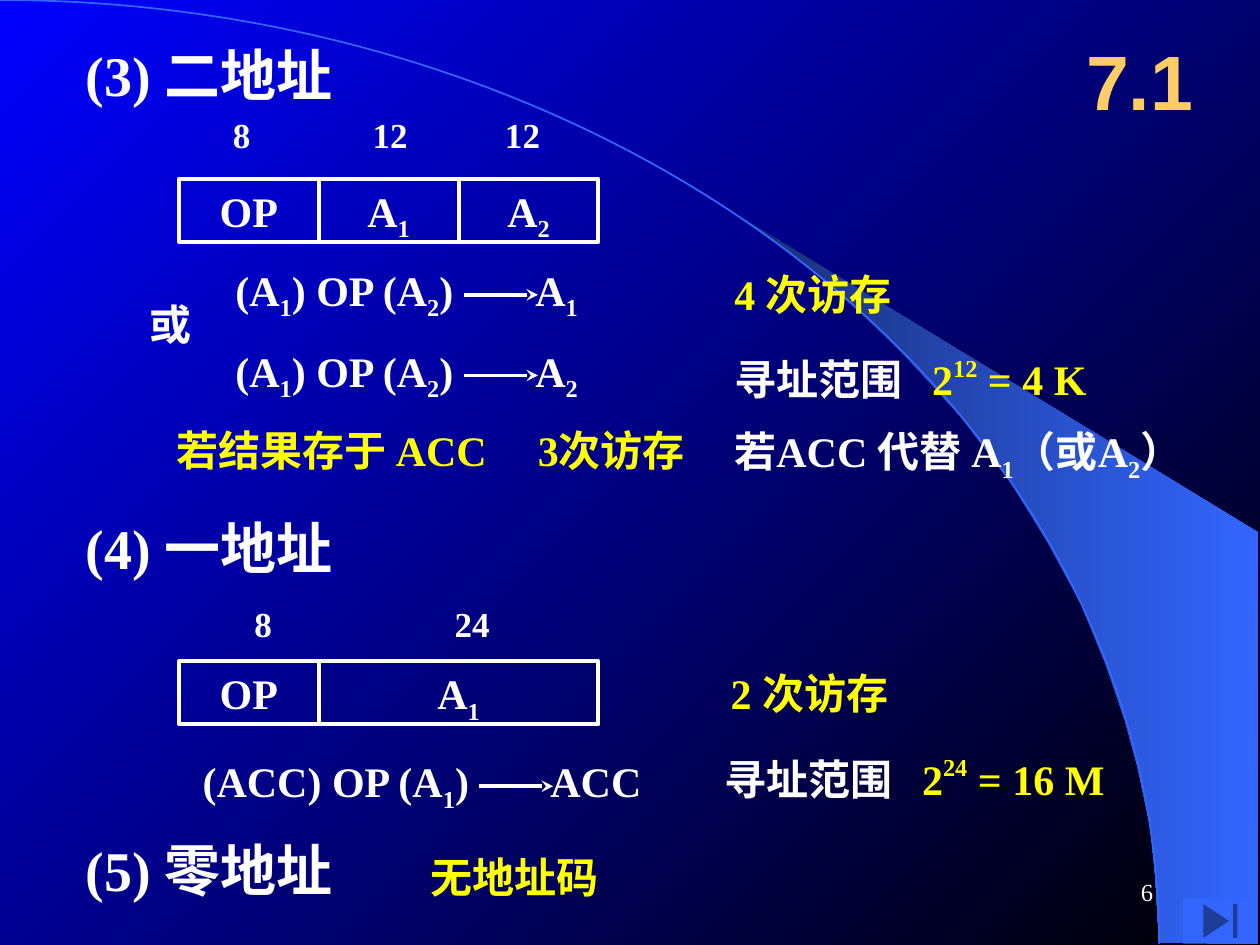
import math

import pptx
import pptx.dml.color
import pptx.enum.shapes
import pptx.enum.text
import pptx.oxml.ns
import pptx.util
from lxml import etree

Inches = pptx.util.Inches
Pt = pptx.util.Pt
RGBColor = pptx.dml.color.RGBColor
Align = pptx.enum.text.PP_ALIGN
Anchor = pptx.enum.text.MSO_ANCHOR
Shape = pptx.enum.shapes.MSO_SHAPE
qn = pptx.oxml.ns.qn

WHITE = RGBColor(0xFF, 0xFF, 0xFF)
YELLOW = RGBColor(0xFF, 0xFF, 0x00)
ORANGE = RGBColor(0xFF, 0xCC, 0x66)
BLUE = RGBColor(0x00, 0x00, 0xFF)
BLACK = RGBColor(0x00, 0x00, 0x00)
SKY = RGBColor(0x33, 0x66, 0xFF)
NAVY = RGBColor(0x18, 0x2F, 0x76)

SUB1 = ("1", {"baseline": -25})
SUB2 = ("2", {"baseline": -25})

BEAM = [(9.2, 7.48), (9.99, 7.49), (9.99, 4.23), (5.89, 1.73), (6.24, 1.99),
        (6.53, 2.22), (6.85, 2.5), (7.16, 2.8), (7.62, 3.3), (8.03, 3.84),
        (8.32, 4.31), (8.58, 4.79), (8.78, 5.28), (8.93, 5.72), (9.03, 6.09),
        (9.13, 6.56), (9.17, 6.96)]


def add_run(p, text, size=24, color=WHITE, bold=True, font="Times New Roman",
            baseline=0):
    r = p.add_run()
    r.text = text
    r.font.size = Pt(size)
    r.font.bold = bold
    r.font.name = font
    r.font.color.rgb = color
    if baseline:
        r._r.get_or_add_rPr().set("baseline", str(baseline * 1000))


def add_runs(p, parts, **style):
    """Add parts, each a string or a (string, format) pair, in a shared style."""
    for part in parts:
        text, extra = (part, {}) if isinstance(part, str) else part
        add_run(p, text, **{**style, **extra})


def set_tabs(p, stops):
    tab_list = etree.SubElement(p._p.get_or_add_pPr(), qn("a:tabLst"))
    for stop in stops:
        etree.SubElement(tab_list, qn("a:tab"), pos=str(Inches(stop)), algn="l")


def set_gradient(fill, start, end, angle):
    fill.gradient()
    fill.gradient_angle = angle
    for stop, color in zip(fill.gradient_stops, (start, end)):
        stop.color.rgb = color


class SlideBuilder:
    def __init__(self, slide):
        self.s = slide
        self.shapes = slide.shapes
        self.line_width = Pt(2.25)
        self.cell_height = 0.5

    def title(self, text, left, top, width, height):
        sp = self.shapes.title
        sp.left, sp.top = Inches(left), Inches(top)
        sp.width, sp.height = Inches(width), Inches(height)
        tf = sp.text_frame
        tf.auto_size = pptx.enum.text.MSO_AUTO_SIZE.NONE
        tf.vertical_anchor = Anchor.MIDDLE
        p = tf.paragraphs[0]
        p.alignment = Align.CENTER
        add_run(p, text, size=44, color=ORANGE, font="Arial")

    def text(self, parts, left, top, width, height=0.5, tabs=(),
             align=Align.LEFT, anchor=Anchor.TOP, **style):
        sp = self.shapes.add_textbox(Inches(left), Inches(top),
                                     Inches(width), Inches(height))
        tf = sp.text_frame
        tf.word_wrap = True
        tf.vertical_anchor = anchor
        p = tf.paragraphs[0]
        p.alignment = align
        if tabs:
            set_tabs(p, tabs)
        add_runs(p, parts, **style)

    def heading(self, text, top):
        self.text([text], 0.58, top, 3.17, 0.64, size=32)

    def instruction(self, fields, left, top):
        """Draw adjoining cells from (width, parts) pairs."""
        for width, parts in fields:
            sp = self.shapes.add_shape(Shape.RECTANGLE, Inches(left), Inches(top),
                                       Inches(width), Inches(self.cell_height))
            sp.shadow.inherit = False
            sp.fill.background()
            sp.line.color.rgb = WHITE
            sp.line.width = self.line_width
            tf = sp.text_frame
            tf.vertical_anchor = Anchor.TOP
            p = tf.paragraphs[0]
            p.alignment = Align.CENTER
            add_runs(p, parts)
            left += width

    def arrow(self, left, y, length):
        cx = self.shapes.add_connector(
            pptx.enum.shapes.MSO_CONNECTOR.STRAIGHT, Inches(left), Inches(y),
            Inches(left + length), Inches(y))
        cx.line.color.rgb = WHITE
        cx.line.width = self.line_width
        etree.SubElement(cx.line._get_or_add_ln(), qn("a:tailEnd"), type="stealth")
        etree.SubElement(cx._element.spPr, qn("a:effectLst"))

    def formula(self, parts, left, top, width, tab, arrow_left):
        self.text(parts, left, top, width, 0.56, tabs=[tab])
        self.arrow(arrow_left, top + 0.29, 0.59)

    def outline(self, points, close):
        points = [(Inches(x), Inches(y)) for x, y in points]
        fb = self.shapes.build_freeform(*points[0])
        fb.add_line_segments(points[1:], close=close)
        sp = fb.convert_to_shape()
        sp.shadow.inherit = False
        return sp

    def backdrop(self):
        set_gradient(self.s.background.fill, BLUE, BLACK, 315)
        beam = self.outline(BEAM, close=True)
        set_gradient(beam.fill, NAVY, SKY, 0)
        beam.line.fill.background()
        steps = 90
        angles = [math.pi / 2 * i / steps for i in range(steps + 1)]
        arc = self.outline([(9.2 * math.sin(a), 7.49 * (1 - math.cos(a)))
                            for a in angles], close=False)
        arc.fill.background()
        arc.line.color.rgb = SKY
        arc.line.width = Pt(1)

    def end_button(self, left, top, width, height):
        sp = self.shapes.add_shape(Shape.ACTION_BUTTON_END, Inches(left),
                                   Inches(top), Inches(width), Inches(height))
        sp.shadow.inherit = False
        sp.fill.solid()
        sp.fill.fore_color.rgb = SKY
        sp.line.fill.background()


def main():
    prs = pptx.Presentation()
    prs.slide_width, prs.slide_height = Inches(10), Inches(7.5)
    b = SlideBuilder(prs.slides.add_slide(prs.slide_layouts[5]))
    b.backdrop()
    b.title("7.1", 8.42, 0.17, 1.25, 0.92)

    b.heading("(3) 二地址", 0.27)
    b.text(["8\t12\t12"], 1.75, 0.85, 2.8, 0.44, tabs=[1.11, 2.16], size=20)
    b.instruction([(1.11, ["OP"]), (1.11, ["A", SUB1]), (1.11, ["A", SUB2])],
                  1.42, 1.42)
    for top, target in ((2.05, SUB1), (2.69, SUB2)):
        b.formula(["(A", SUB1, ") OP (A", SUB2, ")\tA", target],
                  1.77, top, 3.1, 2.38, 3.68)
    b.text(["或"], 1.09, 2.32, 0.6)
    b.text(["4 次访存"], 5.73, 2.08, 3.02, color=YELLOW)
    b.text(["若ACC 代替 A", SUB1, "（或A", SUB2, "）"], 5.73, 3.33, 3.93, 1.01)
    b.text(["若结果存于 ACC"], 1.3, 3.32, 3.08, color=YELLOW)
    b.text(["3次访存"], 4.17, 3.32, 2, color=YELLOW)

    b.heading("(4) 一地址", 4.03)
    b.text(["8\t24"], 1.92, 4.73, 2.3, 0.44, tabs=[1.59], size=20)
    b.instruction([(1.11, ["OP"]), (2.22, ["A", SUB1])], 1.42, 5.25)
    b.formula(["(ACC) OP (A", SUB1, ")\tACC"], 1.51, 5.95, 3.9, 2.76, 3.8)
    b.text(["2 次访存"], 5.7, 5.25, 1.8, color=YELLOW)

    for left, top, bits, size in ((5.73, 2.75, "12", "4 K"),
                                  (5.65, 5.92, "24", "16 M")):
        b.text([("寻址范围", {"color": WHITE}), "\t2", (bits, {"baseline": 45}),
                f" = {size}"], left, top, 3.43, 0.51, tabs=[1.57], color=YELLOW)

    b.heading("(5) 零地址", 6.58)
    b.text(["无地址码"], 3.32, 6.71, 1.7, color=YELLOW)
    b.end_button(9.39, 7.13, 0.59, 0.36)
    b.text(["6"], 7.17, 6.83, 2.08, align=Align.RIGHT, anchor=Anchor.MIDDLE,
           size=14, bold=False)
    prs.save("out.pptx")


if __name__ == "__main__":
    main()
